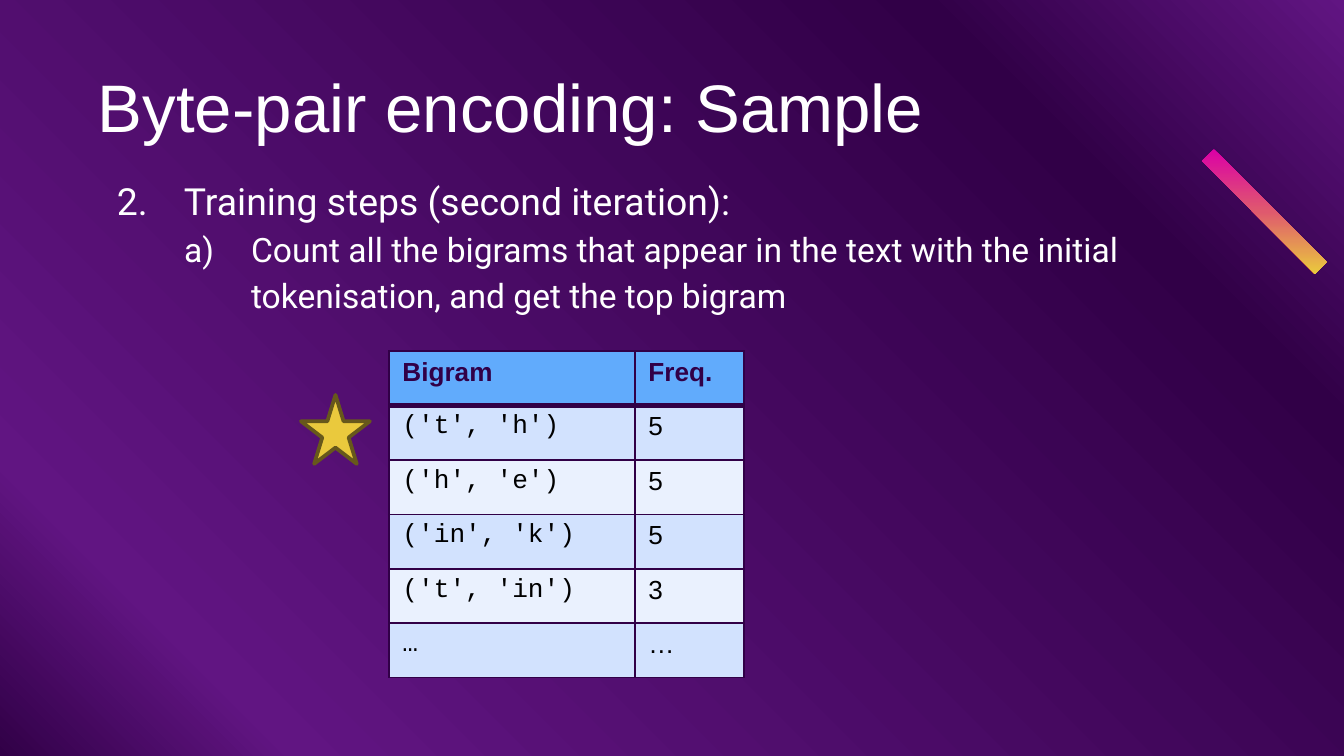
from dataclasses import dataclass

from lxml.etree import SubElement
from pptx import Presentation
from pptx.dml.color import RGBColor as RGB
from pptx.enum.shapes import MSO_SHAPE as SHAPE
from pptx.enum.text import MSO_ANCHOR as ANCHOR, MSO_AUTO_SIZE as AUTO, PP_ALIGN as ALIGN
from pptx.oxml.ns import qn
from pptx.util import Pt

PX = 914400 / 134.4
COLORS = {
    "white": "FFFFFF", "black": "000000", "dark": "310047", "violet": "611582",
    "pink": "DB00A6", "coral": "DF596E", "gold": "EAC93D", "bronze": "67581B",
    "header": "61ABFC", "odd": "D2E2FE", "even": "EAF1FE",
}


@dataclass
class Box:
    left: int
    top: int
    width: int
    height: int

    def emu(self) -> tuple:
        return tuple(map(px, (self.left, self.top, self.width, self.height)))


@dataclass
class Step:
    text: str
    size: int
    level: int
    indent: int
    spacing: float
    number: dict


@dataclass
class Bigram:
    pair: str
    freq: str


TITLE = Box(85, 46, 1161, 85)
BODY = Box(85, 165, 1188, 159)
TABLE = Box(389, 351, 355, 327)
STAR = Box(301, 395, 69, 69)
COLUMNS = (246, 109)
RIBBON = ((1202, 161), (1214, 149), (1327, 262), (1315, 274))
STEPS = (
    Step("Training steps (second iteration):", 20, 0, 86, 1.0,
         {"type": "arabicPeriod", "startAt": "2"}),
    Step("Count all the bigrams that appear in the text with the initial "
         "tokenisation, and get the top bigram", 18, 1, 153, 1.15,
         {"type": "alphaLcParenR"}),
)
BIGRAMS = (
    Bigram("Bigram", "Freq."),
    Bigram("('t', 'h')", "5"),
    Bigram("('h', 'e')", "5"),
    Bigram("('in', 'k')", "5"),
    Bigram("('t', 'in')", "3"),
    Bigram("…", "…"),
)


def px(n: int) -> int:
    return round(n * PX)


def rgb(name: str) -> RGB:
    return RGB.from_string(COLORS[name])


def set_all(obj, values: dict) -> None:
    for name, value in values.items():
        setattr(obj, name, value)


def add_color(parent, name: str) -> None:
    SubElement(parent, qn("a:srgbClr"), val=COLORS[name])


def add_run(p, text: str, color: str, **font) -> None:
    r = p.add_run()
    r.text = text
    set_all(r.font, font)
    r.font.color.rgb = rgb(color)


def fill_gradient(fill, element, stops: dict, angle: int) -> None:
    fill.gradient()
    fill.gradient_angle = angle
    stop_list = element.find(".//" + qn("a:gsLst"))
    for stop in list(stop_list):
        stop_list.remove(stop)
    for pos, color in stops.items():
        add_color(SubElement(stop_list, qn("a:gs"), pos=str(pos * 1000)), color)


def place(sp, box: Box, top_inset: int):
    set_all(sp, dict(zip(("left", "top", "width", "height"), box.emu())))
    tf = sp.text_frame
    set_all(tf, {
        "word_wrap": True, "auto_size": AUTO.NONE, "vertical_anchor": ANCHOR.TOP,
        "margin_left": px(13), "margin_right": px(13),
        "margin_top": px(top_inset), "margin_bottom": px(13),
    })
    return tf


def draw_title(s) -> None:
    p = place(s.shapes.title, TITLE, 19).paragraphs[0]
    p.alignment = ALIGN.LEFT
    add_run(p, "Byte-pair encoding: Sample", "white", size=Pt(36), name="Arial")


def draw_steps(s) -> None:
    tf = place(s.placeholders[1], BODY, 13)
    for i, step in enumerate(STEPS):
        p = tf.add_paragraph() if i else tf.paragraphs[0]
        set_all(p, {"level": step.level, "line_spacing": step.spacing,
                    "space_before": Pt(0), "space_after": Pt(0)})
        pPr = p._p.get_or_add_pPr()
        pPr.set("marL", str(px(step.indent)))
        pPr.set("indent", str(px(-67)))
        add_color(SubElement(pPr, qn("a:buClr")), "white")
        SubElement(pPr, qn("a:buFont"), typeface="Roboto")
        SubElement(pPr, qn("a:buAutoNum"), **step.number)
        add_run(p, step.text, "white", size=Pt(step.size), name="Roboto")


def draw_ribbon(s) -> None:
    builder = s.shapes.build_freeform(*RIBBON[0], scale=PX)
    builder.add_line_segments(RIBBON[1:], close=True)
    sp = builder.convert_to_shape()
    sp.shadow.inherit = False
    fill_gradient(sp.fill, sp._element, {0: "pink", 50: "coral", 100: "gold"}, 270)
    sp.line.fill.background()
    s.shapes._spTree.insert(2, sp._element)


def set_borders(cell, widths: dict) -> None:
    tcPr = cell._tc.get_or_add_tcPr()
    for side, width in widths.items():
        ln = SubElement(tcPr, qn(f"a:ln{side}"), w=str(Pt(width)))
        add_color(SubElement(ln, qn("a:solidFill")), "dark")


def draw_table(s) -> None:
    table = s.shapes.add_table(len(BIGRAMS), len(COLUMNS), *TABLE.emu()).table
    set_all(table, {"first_row": False, "horz_banding": False})
    for column, width in zip(table.columns, COLUMNS):
        column.width = px(width)
    for i, row in enumerate(BIGRAMS):
        header = i == 0
        fill = "header" if header else ("even", "odd")[i % 2]
        borders = {"L": 1, "R": 1, "T": 3 if i == 1 else 1, "B": 3 if header else 1}
        for j, text in enumerate((row.pair, row.freq)):
            cell = table.cell(i, j)
            set_borders(cell, borders)
            cell.fill.solid()
            cell.fill.fore_color.rgb = rgb(fill)
            add_run(cell.text_frame.paragraphs[0], text, "dark" if header else "black",
                    size=Pt(14), bold=header,
                    name="Arial" if header or j else "Courier New")


def draw_star(s) -> None:
    sp = s.shapes.add_shape(SHAPE.STAR_5_POINT, *STAR.emu())
    sp.shadow.inherit = False
    sp.fill.solid()
    sp.fill.fore_color.rgb = rgb("gold")
    sp.line.color.rgb = rgb("bronze")
    sp.line.width = Pt(2)
    SubElement(sp.line._ln, qn("a:round"))


def main() -> None:
    prs = Presentation()
    set_all(prs, {"slide_width": px(1344), "slide_height": px(756)})
    s = prs.slides.add_slide(prs.slide_layouts[1])
    fill_gradient(s.background.fill, s._element,
                  {0: "dark", 14: "violet", 80: "dark", 100: "violet"}, 45)
    draw_ribbon(s)
    draw_title(s)
    draw_steps(s)
    draw_table(s)
    draw_star(s)
    prs.save("out.pptx")


if __name__ == "__main__":
    main()
